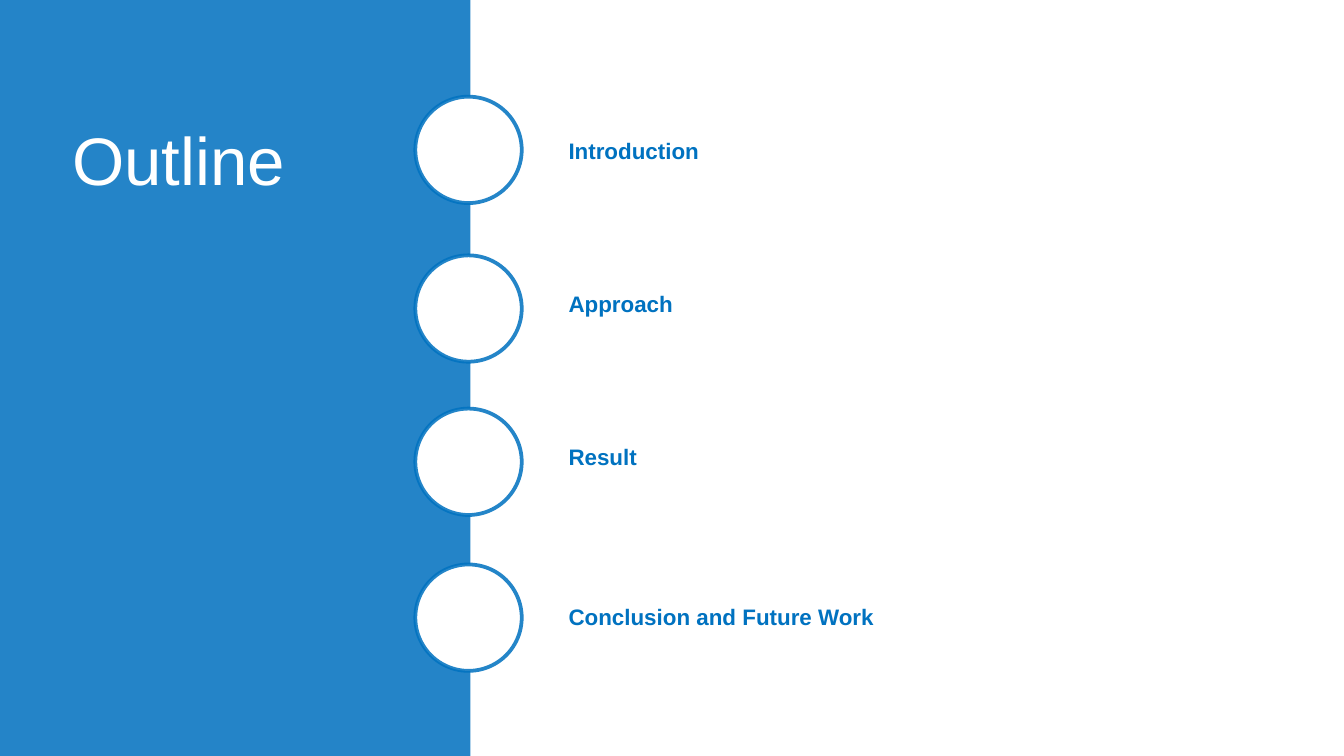
from dataclasses import dataclass

from lxml.etree import SubElement
from pptx import Presentation
from pptx.dml.color import RGBColor
from pptx.enum.shapes import MSO_SHAPE
from pptx.enum.text import MSO_ANCHOR
from pptx.oxml.ns import qn
from pptx.util import Pt


@dataclass(frozen=True)
class Theme:
    blue: str = "0072C0"
    panel: str = "0070C0"
    white: str = "FFFFFF"
    font: str = "Arial"
    title: int = 36
    label: int = 12
    ring: int = 2


THEME = Theme()
WIDTH, HEIGHT, SPLIT = 720, 405, 252
ITEMS = [
    ("Introduction", 51.8, 69.8),
    ("Approach", 136.8, 151.9),
    ("Result", 218.9, 234),
    ("Conclusion and Future Work", 302.4, 319.7),
]


def paint(fill, color, alpha=100):
    fill.solid()
    fill.fore_color.rgb = RGBColor.from_string(color)
    if alpha < 100:
        tone = next(fill.fore_color._xFill.iter(qn("a:srgbClr")))
        SubElement(tone, qn("a:alpha")).set("val", str(alpha * 1000))


def add_form(slide, kind, box, color, alpha=100):
    form = slide.shapes.add_shape(kind, *map(Pt, box))
    form.shadow.inherit = False
    paint(form.fill, color, alpha)
    form.line.fill.background()
    return form


def add_text(slide, box, text, size, color, bold=False, anchor=MSO_ANCHOR.TOP):
    frame = slide.shapes.add_textbox(*map(Pt, box)).text_frame
    frame.word_wrap = True
    frame.vertical_anchor = anchor
    frame.text = text
    font = frame.paragraphs[0].runs[0].font
    font.name, font.size, font.bold = THEME.font, Pt(size), bold
    font.color.rgb = RGBColor.from_string(color)


def add_panels(slide, box):
    left, top, width, height = box
    rest = (left + SPLIT, top, width - SPLIT, height)
    add_form(slide, MSO_SHAPE.RECTANGLE, rest, THEME.white, 88)
    side = (left, top, SPLIT, height)
    add_form(slide, MSO_SHAPE.RECTANGLE, side, THEME.panel, 86)


def add_title(slide, box):
    add_text(slide, box, "Outline", THEME.title, THEME.white,
             anchor=MSO_ANCHOR.MIDDLE)


def add_items(slide, box):
    left, top, width, _ = box
    size, indent = 57, 75
    for _, ring_top, _ in ITEMS:
        ring = add_form(slide, MSO_SHAPE.OVAL,
                        (left, top + ring_top, size, size), THEME.white)
        paint(ring.line.fill, THEME.blue, 85)
        ring.line.width = Pt(THEME.ring)
    for text, _, text_top in ITEMS:
        area = (left + indent, top + text_top, width - indent, 21.6)
        add_text(slide, area, text, THEME.label, THEME.blue, bold=True)


def main():
    deck = Presentation()
    deck.slide_width, deck.slide_height = Pt(WIDTH), Pt(HEIGHT)
    slide = deck.slides.add_slide(deck.slide_layouts[6])
    add_panels(slide, (0, 0, WIDTH, HEIGHT))
    add_title(slide, (31.7, 39.6, 185.8, 90.7))
    add_items(slide, (222.5, 0, 415, HEIGHT))
    deck.save("out.pptx")


if __name__ == "__main__":
    main()
